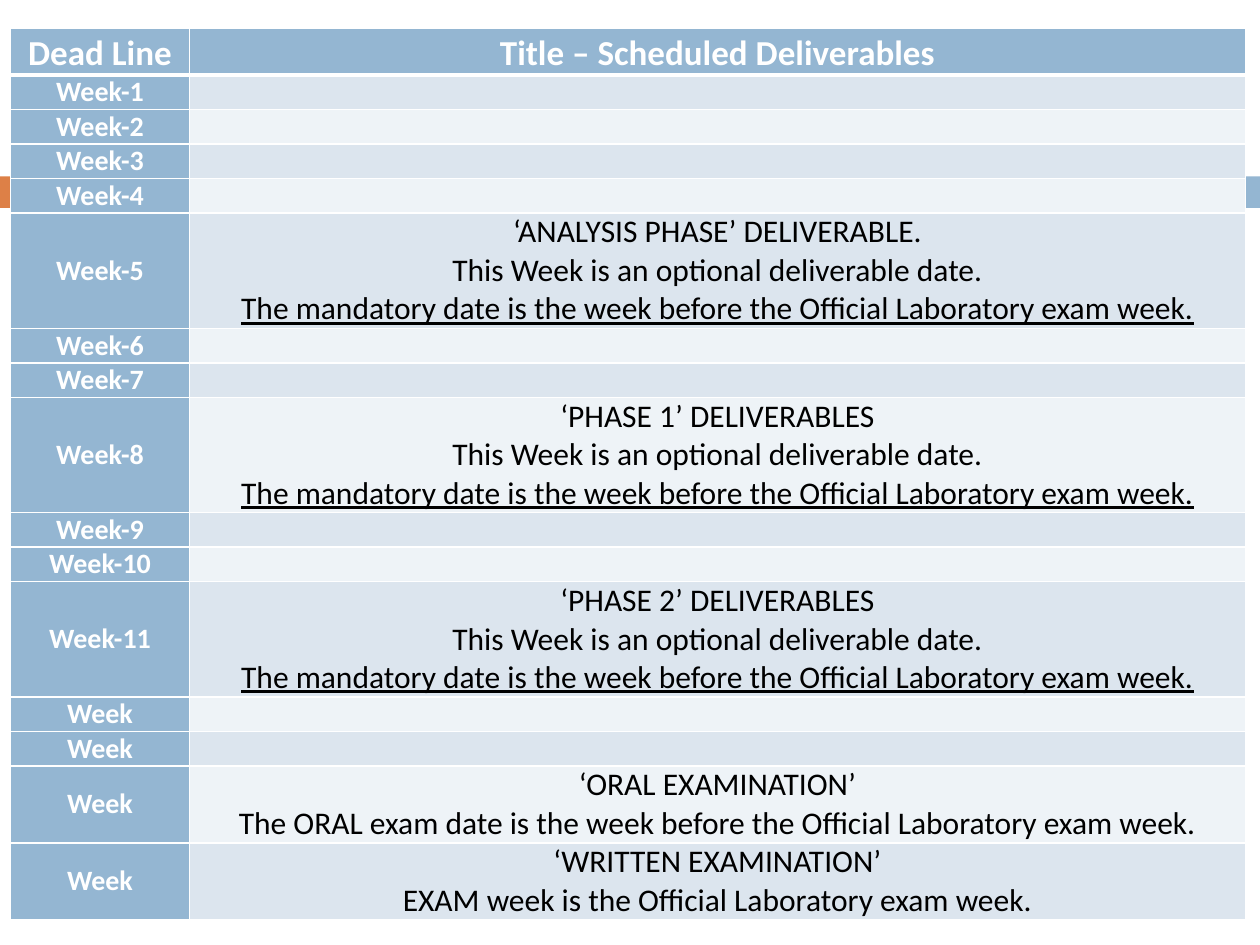
from lxml import etree
from pptx import Presentation
from pptx.dml.color import RGBColor
from pptx.enum.shapes import MSO_SHAPE
from pptx.enum.text import MSO_ANCHOR, PP_ALIGN
from pptx.oxml.ns import qn
from pptx.util import Emu, Pt

RECTANGLE = MSO_SHAPE.RECTANGLE
MIDDLE = MSO_ANCHOR.MIDDLE
CENTER = PP_ALIGN.CENTER

WHITE = RGBColor(0xFF, 0xFF, 0xFF)
BLACK = RGBColor(0x00, 0x00, 0x00)
BLUE = RGBColor(0x94, 0xB6, 0xD2)
ORANGE = RGBColor(0xDD, 0x80, 0x47)
BANDS = (RGBColor(0xDC, 0xE5, 0xEE), RGBColor(0xEE, 0xF3, 0xF7))

PX_PER_INCH = 252
BLANK_LAYOUT = 6
HEADER_HEIGHT = 93
ROW_HEIGHTS = {0: 69, 1: 69, 2: 154, 3: 230}  # by number of text lines
COLUMN_WIDTHS = (358, 2112)

OPTIONAL = "This Week is an optional deliverable date."
MANDATORY = "The mandatory date is the week before the Official Laboratory exam week."
HEADINGS = ("Dead Line", "Title – Scheduled Deliverables")
DELIVERABLES = {
    5: ("‘ANALYSIS PHASE’ DELIVERABLE.", OPTIONAL, MANDATORY),
    8: ("‘PHASE 1’ DELIVERABLES", OPTIONAL, MANDATORY),
    11: ("‘PHASE 2’ DELIVERABLES", OPTIONAL, MANDATORY),
    14: ("‘ORAL EXAMINATION’",
         "The ORAL exam date is the week before the Official Laboratory exam week."),
    15: ("‘WRITTEN EXAMINATION’", "EXAM week is the Official Laboratory exam week."),
}
WEEKS = range(1, 16)
LAST_NUMBERED_WEEK = 11


def px(length):
    return Emu(round(length * 914400 / PX_PER_INCH))


class Page:
    """Holds the slide and the style of its elements."""

    font_name = "Calibri"

    def __init__(self, slide):
        self.slide = slide

    def bar(self, left, top, width, height, color):
        box = self.slide.shapes.add_shape(
            RECTANGLE, px(left), px(top), px(width), px(height))
        box.shadow.inherit = False
        box.fill.solid()
        box.fill.fore_color.rgb = color
        box.line.fill.background()

    def table(self, left, top, widths, heights):
        frame = self.slide.shapes.add_table(
            len(heights), len(widths), px(left), px(top),
            px(sum(widths)), px(sum(heights)))
        table = frame.table
        table.horz_banding = False
        for column, width in zip(table.columns, widths):
            column.width = px(width)
        for row, height in zip(table.rows, heights):
            row.height = px(height)
        return table

    def cell(self, cell, lines, fill, size, color, bold=False,
             line_spacing=1.0, bottom_border=1):
        cell.margin_left = cell.margin_right = px(15)
        cell.margin_top = cell.margin_bottom = 0
        cell.vertical_anchor = MIDDLE
        self.borders(cell, bottom_border)
        cell.fill.solid()
        cell.fill.fore_color.rgb = fill
        cell.text = "\n".join(lines)
        for para in cell.text_frame.paragraphs:
            para.alignment = CENTER
            para.line_spacing = line_spacing
            font = para.font
            font.name = self.font_name
            font.size = Pt(size)
            font.bold = bold
            font.color.rgb = color
            if para.text == MANDATORY:
                para.runs[0].font.underline = True
        if not lines:
            self.empty_text_size(para, size)

    def empty_text_size(self, para, size):
        """Keeps an empty cell from stretching its row."""
        end = etree.SubElement(para._p, qn("a:endParaRPr"))
        end.set("sz", str(size * 100))

    def borders(self, cell, bottom):
        """Draws white borders; widths are in points."""
        properties = cell._tc.get_or_add_tcPr()
        for side, width in (("L", 1), ("R", 1), ("T", 1), ("B", bottom)):
            line = etree.SubElement(properties, qn(f"a:ln{side}"), w=str(Pt(width)))
            fill = etree.SubElement(line, qn("a:solidFill"))
            etree.SubElement(fill, qn("a:srgbClr"), val=str(WHITE))


def main():
    deck = Presentation()
    deck.slide_width, deck.slide_height = px(2520), px(1890)
    page = Page(deck.slides.add_slide(deck.slide_layouts[BLANK_LAYOUT]))

    page.bar(0, 353, 146, 63, ORANGE)
    page.bar(164, 353, 2356, 63, BLUE)

    heights = [HEADER_HEIGHT]
    heights += [ROW_HEIGHTS[len(DELIVERABLES.get(week, ()))] for week in WEEKS]
    schedule = page.table(21, 57, COLUMN_WIDTHS, heights)

    for column, heading in enumerate(HEADINGS):
        page.cell(schedule.cell(0, column), [heading], BLUE, 20, WHITE,
                  bold=True, line_spacing=1.07, bottom_border=3)
    for week in WEEKS:
        label = f"Week-{week}" if week <= LAST_NUMBERED_WEEK else "Week"
        lines = DELIVERABLES.get(week, ())
        page.cell(schedule.cell(week, 0), [label], BLUE, 16, WHITE, bold=True)
        page.cell(schedule.cell(week, 1), lines, BANDS[(week - 1) % 2],
                  18 if lines else 16, BLACK)

    deck.save("out.pptx")


if __name__ == "__main__":
    main()
